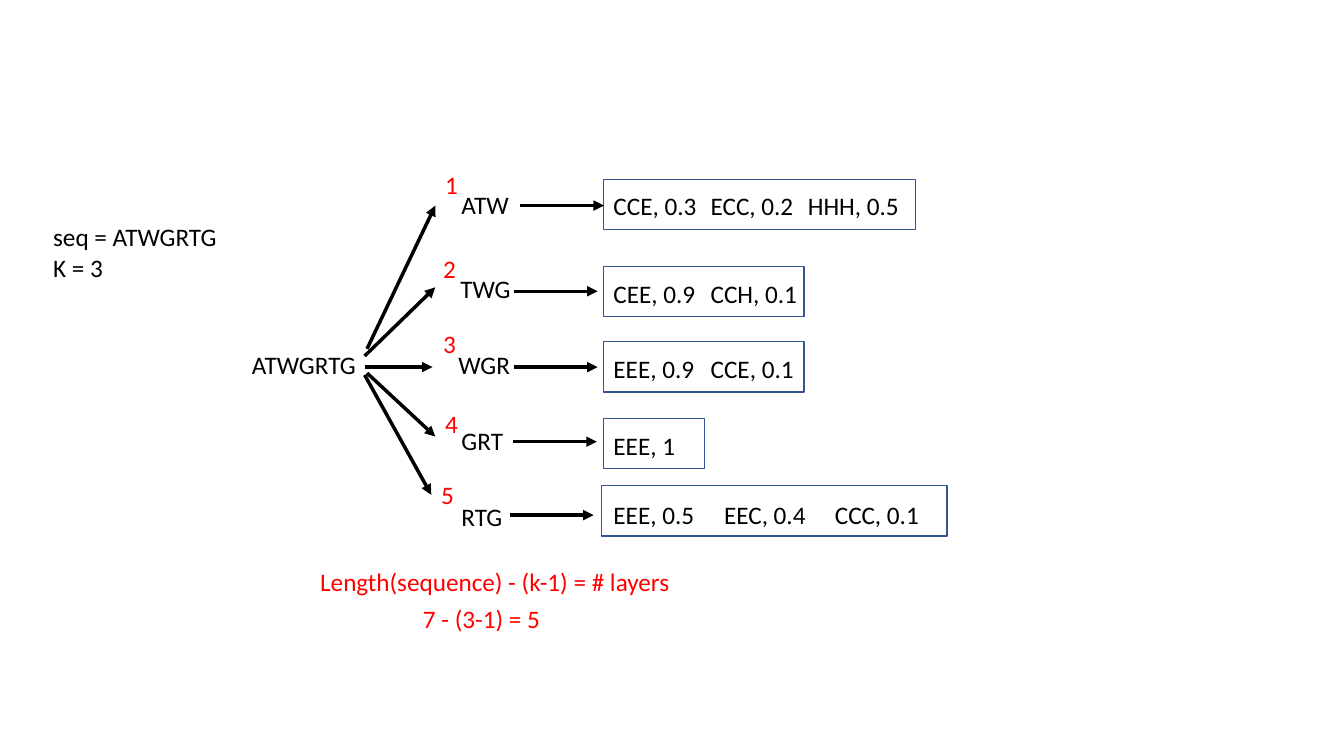
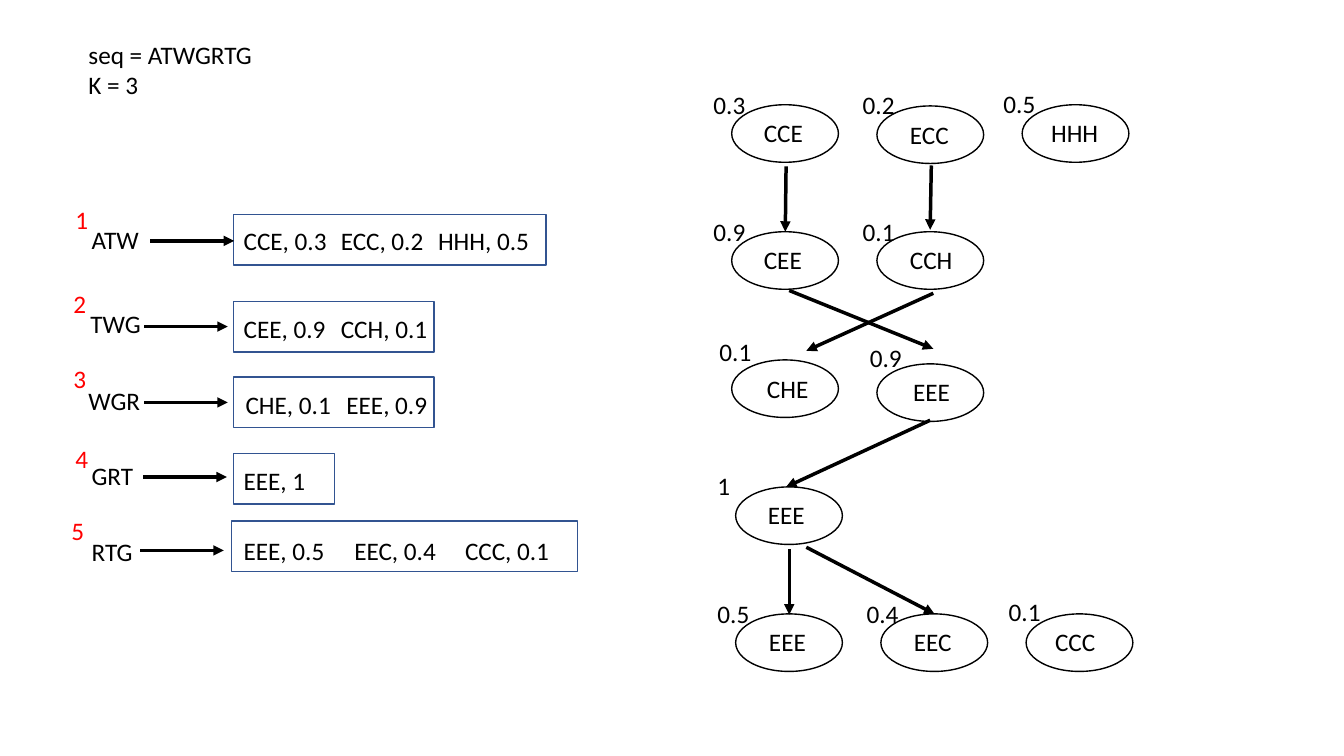
from dataclasses import dataclass, replace
from typing import Any

from lxml import etree
from pptx import Presentation
from pptx.dml.color import RGBColor
from pptx.enum import shapes, text
from pptx.oxml import ns
from pptx.util import Cm, Pt


@dataclass(frozen=True)
class Theme:
    """Colours, font, type size, line widths and shared lengths in cm."""
    ink: str = "000000"
    mark: str = "FF0000"
    frame: str = "325491"
    font: str = "Calibri"
    size: float = 18
    thin: float = 1
    thick: float = 2.5
    line: float = 1.02
    digit: float = 0.84
    reach: float = 2.11


@dataclass(frozen=True)
class Item:
    """A state with its chance, and the width of its text."""
    label: str
    width: float


@dataclass(frozen=True)
class Row:
    """One k-mer layer: number, key, arrow and boxed states."""
    num: tuple[float, float]
    key: str
    spot: tuple[float, float, float]
    arrow: tuple[float, float]
    box: tuple[float, float, float]
    base: float
    items: tuple[Item, ...]
    start: float = 15.21
    step: float = 2.45


@dataclass(frozen=True)
class Node:
    """One oval of the graph, with its label and weight."""
    label: str
    x: float
    y: float
    left: float
    width: float
    weight: str
    spot: tuple[float, float]


LOOK = Theme()
SIZE = (33.87, 19.05)
OVAL = (2.69, 1.45)
SHIFT = (-9.32, 0.89)

ROWS = [
    Row((10.97, 4.14), "ATW", (11.38, 4.65, 1.7), (13.11, 5.18),
        (15.21, 4.52, 7.87), 4.67,
        (Item("CCE, 0.3", 2.62), Item("ECC, 0.2", 2.62), Item("HHH, 0.5", 2.84))),
    Row((10.92, 6.25), "TWG", (11.35, 6.76, 1.8), (12.95, 7.34),
        (15.21, 6.71, 5.05), 6.88,
        (Item("CEE, 0.9", 2.59), Item("CCH, 0.1", 2.72))),
    Row((10.92, 8.15), "WGR", (11.3, 8.69, 1.83), (12.95, 9.25),
        (15.21, 8.61, 5.05), 8.79,
        (Item("EEE, 0.9", 2.57), Item("CCE, 0.1", 2.62))),
    Row((10.97, 10.16), "GRT", (11.38, 10.59, 1.57), (12.93, 11.13),
        (15.21, 10.54, 2.54), 10.72, (Item("EEE, 1", 2.08),)),
    Row((10.87, 11.96), "RTG", (11.38, 12.5, 1.55), (12.85, 12.98),
        (15.16, 12.24, 8.71), 12.47,
        (Item("EEE, 0.5", 2.57), Item("EEC, 0.4", 2.59), Item("CCC, 0.1", 2.67)),
        step=2.79),
]

FAN = [
    (9.25, 8.79, 10.97, 5.18),
    (9.19, 8.97, 10.97, 7.24),
    (9.19, 9.25, 10.9, 9.25),
    (9.25, 9.4, 10.97, 11),
    (9.19, 9.45, 10.87, 12.47),
]

NODES = [
    Node("CCE", 18.44, 2.64, 19, 1.5, "0.3", (17.73, 2.13)),
    Node("ECC", 22.1, 2.67, 22.68, 1.5, "0.2", (21.49, 2.13)),
    Node("HHH", 25.76, 2.64, 26.24, 1.73, "0.5", (25.04, 2.11)),
    Node("CEE", 18.44, 5.84, 19, 1.47, "0.9", (17.73, 5.33)),
    Node("CCH", 22.1, 5.84, 22.68, 1.6, "0.1", (21.49, 5.33)),
    Node("CHE", 18.44, 9.07, 19.08, 1.57, "0.1", (17.88, 8.36)),
    Node("EEE", 22.1, 9.17, 22.76, 1.45, "0.9", (21.67, 8.51)),
    Node("EEE", 18.54, 12.27, 19.1, 1.45, "1", (17.83, 11.73)),
    Node("EEE", 18.54, 15.47, 19.13, 1.45, "0.5", (17.83, 14.94)),
    Node("EEC", 22.2, 15.47, 22.78, 1.47, "0.4", (21.59, 14.94)),
    Node("CCC", 25.86, 15.47, 26.34, 1.55, "0.1", (25.17, 14.91)),
]

EDGES = [
    (19.81, 4.19, 19.79, 5.84),
    (23.47, 4.17, 23.44, 5.79),
    (19.89, 7.32, 23.52, 8.79),
    (23.52, 7.39, 20.32, 8.84),
    (23.44, 10.59, 19.81, 12.27),
    (19.89, 13.84, 19.89, 15.49),
    (20.32, 13.79, 23.55, 15.47),
]


def write(slide: Any, words: str, x: float, y: float, width: float, *,
          color: str = LOOK.ink, size: float = LOOK.size) -> None:
    """Place unwrapped text, one paragraph for each line."""
    lines = words.split("\n")
    box = slide.shapes.add_textbox(Cm(x), Cm(y), Cm(width),
                                   Cm(LOOK.line + 0.78 * (len(lines) - 1)))
    frame = box.text_frame
    frame.text = words
    frame.word_wrap = False
    frame.auto_size = text.MSO_AUTO_SIZE.SHAPE_TO_FIT_TEXT
    for para in frame.paragraphs:
        for run in para.runs:
            run.font.name = LOOK.font
            run.font.size = Pt(size)
            run.font.color.rgb = RGBColor.from_string(color)


def outline(slide: Any, kind: shapes.MSO_SHAPE, x: float, y: float,
            width: float, height: float, color: str) -> None:
    """Draw an unfilled shape with a thin line."""
    shape = slide.shapes.add_shape(kind, Cm(x), Cm(y), Cm(width), Cm(height))
    shape.shadow.inherit = False
    shape.fill.background()
    shape.line.color.rgb = RGBColor.from_string(color)
    shape.line.width = Pt(LOOK.thin)


def arrow(slide: Any, x: float, y: float, to_x: float, to_y: float) -> None:
    """Draw a thick line that ends in a triangle."""
    link = slide.shapes.add_connector(shapes.MSO_CONNECTOR.STRAIGHT,
                                      Cm(x), Cm(y), Cm(to_x), Cm(to_y))
    link.line.color.rgb = RGBColor.from_string(LOOK.ink)
    link.line.width = Pt(LOOK.thick)
    etree.SubElement(link.line._get_or_add_ln(), ns.qn("a:tailEnd"), type="triangle")
    etree.SubElement(link._element.spPr, ns.qn("a:effectLst"))


def layer(slide: Any, num: int, row: Row, dx: float, dy: float) -> None:
    """Draw one k-mer row, moved by the given offset."""
    x, y, width = row.box
    outline(slide, shapes.MSO_SHAPE.RECTANGLE, x + dx, y + dy, width, 1.27, LOOK.frame)
    x, y, width = row.spot
    write(slide, row.key, x + dx, y + dy, width)
    x, y = row.num
    write(slide, str(num), x + dx, y + dy, LOOK.digit, color=LOOK.mark)
    for i, item in enumerate(row.items):
        write(slide, item.label, row.start + i * row.step + dx, row.base + dy, item.width)
    x, y = row.arrow
    arrow(slide, x + dx, y + dy, x + dx + LOOK.reach, y + dy)


def panel(slide: Any, rows: list[Row], head: tuple[float, float],
          dx: float = 0, dy: float = 0) -> None:
    """Draw the sequence note and all k-mer rows."""
    write(slide, "seq = ATWGRTG\nK = 3", *head, 4.67)
    for num, row in enumerate(rows, 1):
        layer(slide, num, row, dx, dy)


def vertex(slide: Any, node: Node) -> None:
    """Draw an oval with its label and weight."""
    write(slide, node.label, node.left, node.y + 0.2, node.width)
    wide = LOOK.digit if len(node.weight) == 1 else 1.32
    write(slide, node.weight, *node.spot, wide)
    outline(slide, shapes.MSO_SHAPE.OVAL, node.x, node.y, *OVAL, LOOK.ink)


def split(slide: Any) -> None:
    """Build the slide that splits the sequence into layers."""
    panel(slide, ROWS, (1.09, 5.46))
    write(slide, "ATWGRTG", 6.1, 8.69, 3.15)
    write(slide, "Length(sequence) - (k-1) = # layers", 7.82, 14.15, 9.42, color=LOOK.mark)
    write(slide, "7 - (3-1) = 5", 10.41, 15.09, 3.51, color=LOOK.mark)
    for ends in FAN:
        arrow(slide, *ends)


def graph(slide: Any) -> None:
    """Build the slide that links the states of the layers."""
    rows = ROWS.copy()
    rows[2] = replace(ROWS[2], start=15.26, step=2.54,
                      items=(Item("CHE, 0.1", 2.69), Item("EEE, 0.9", 2.57)))
    panel(slide, rows, (1.98, 0.86), *SHIFT)
    for node in NODES:
        vertex(slide, node)
    for ends in EDGES:
        arrow(slide, *ends)


def main() -> None:
    """Build and save the deck."""
    deck = Presentation()
    deck.slide_width, deck.slide_height = (Cm(side) for side in SIZE)
    blank = deck.slide_layouts[6]
    for build in (split, graph):
        build(deck.slides.add_slide(blank))
    deck.save("out.pptx")


main()
